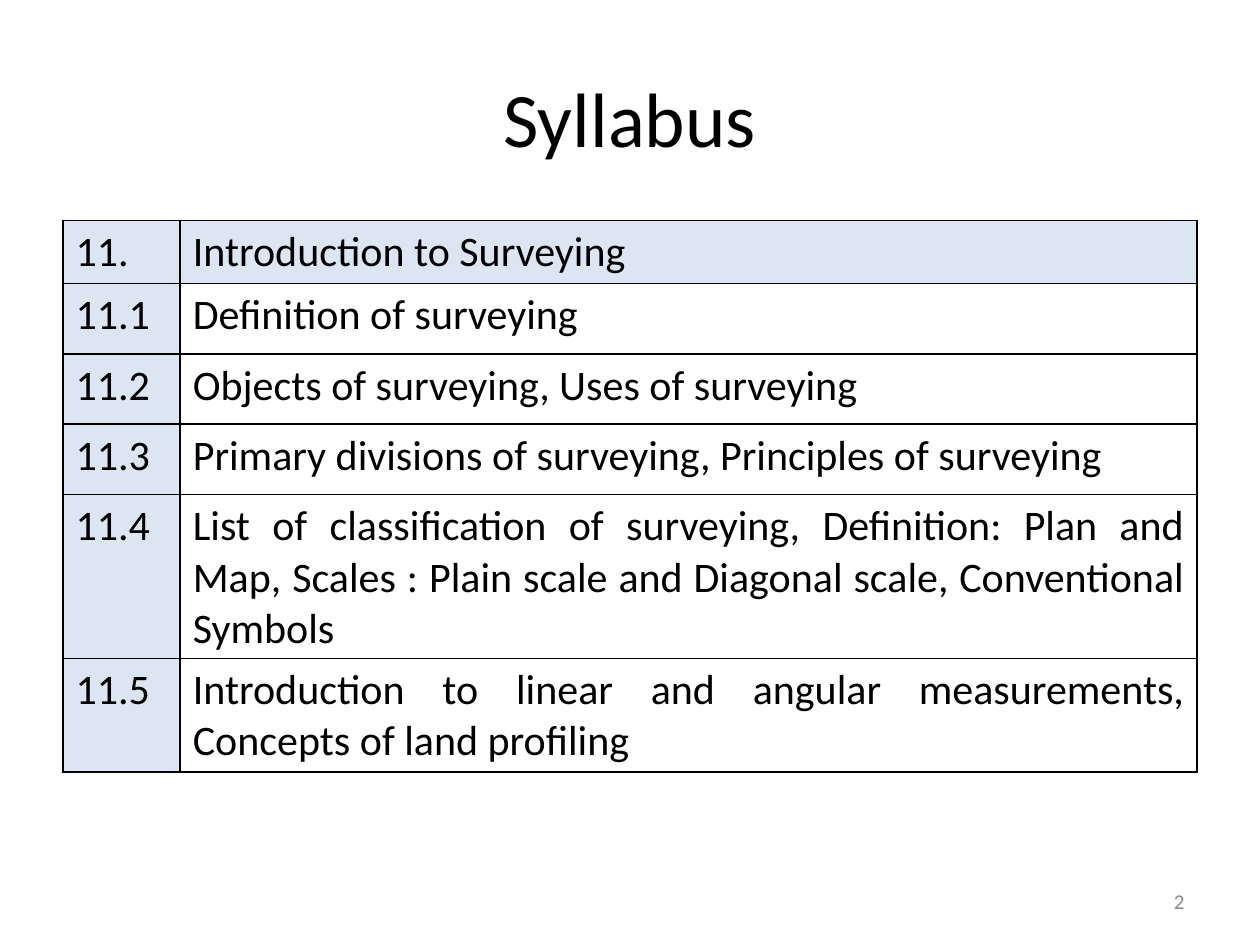
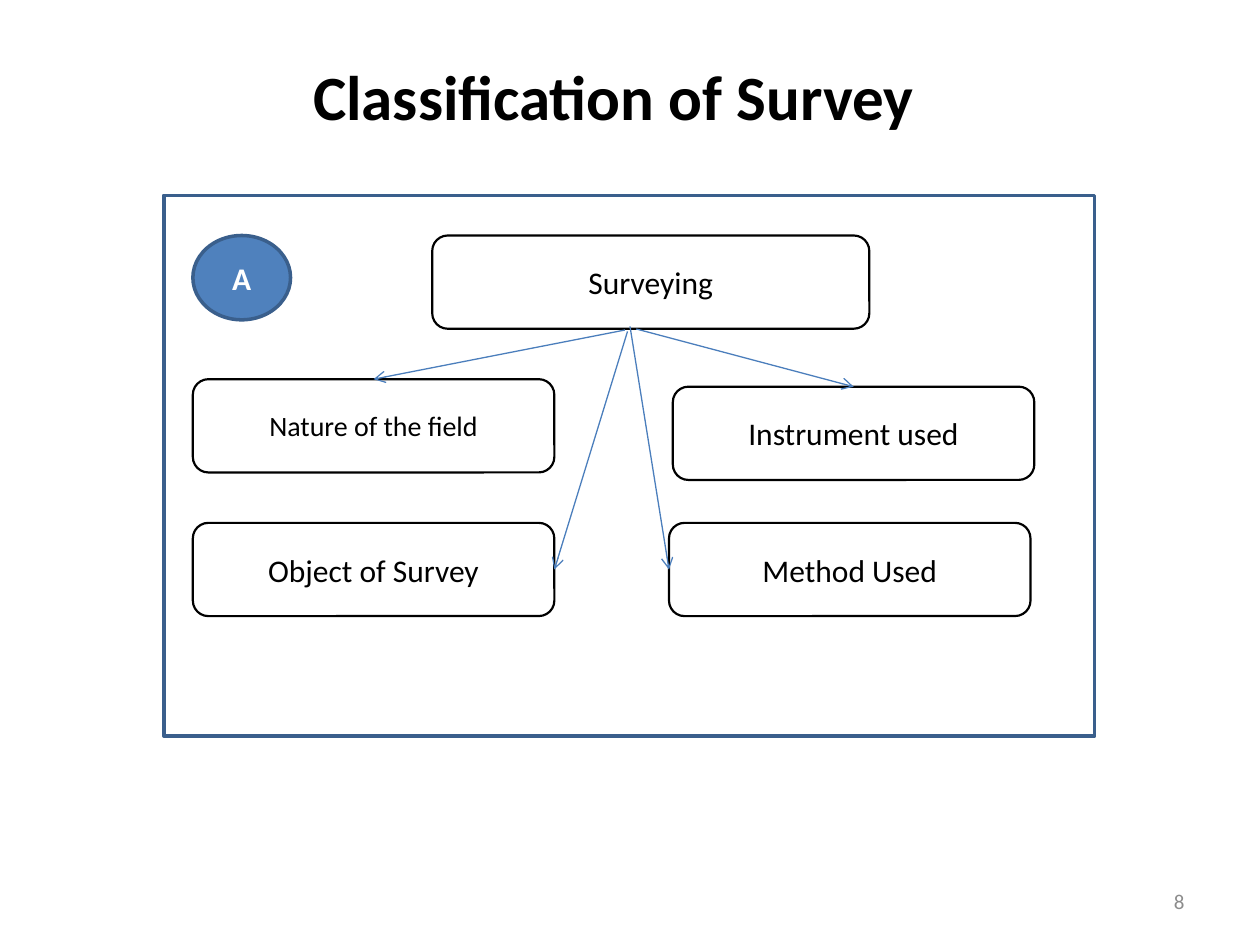
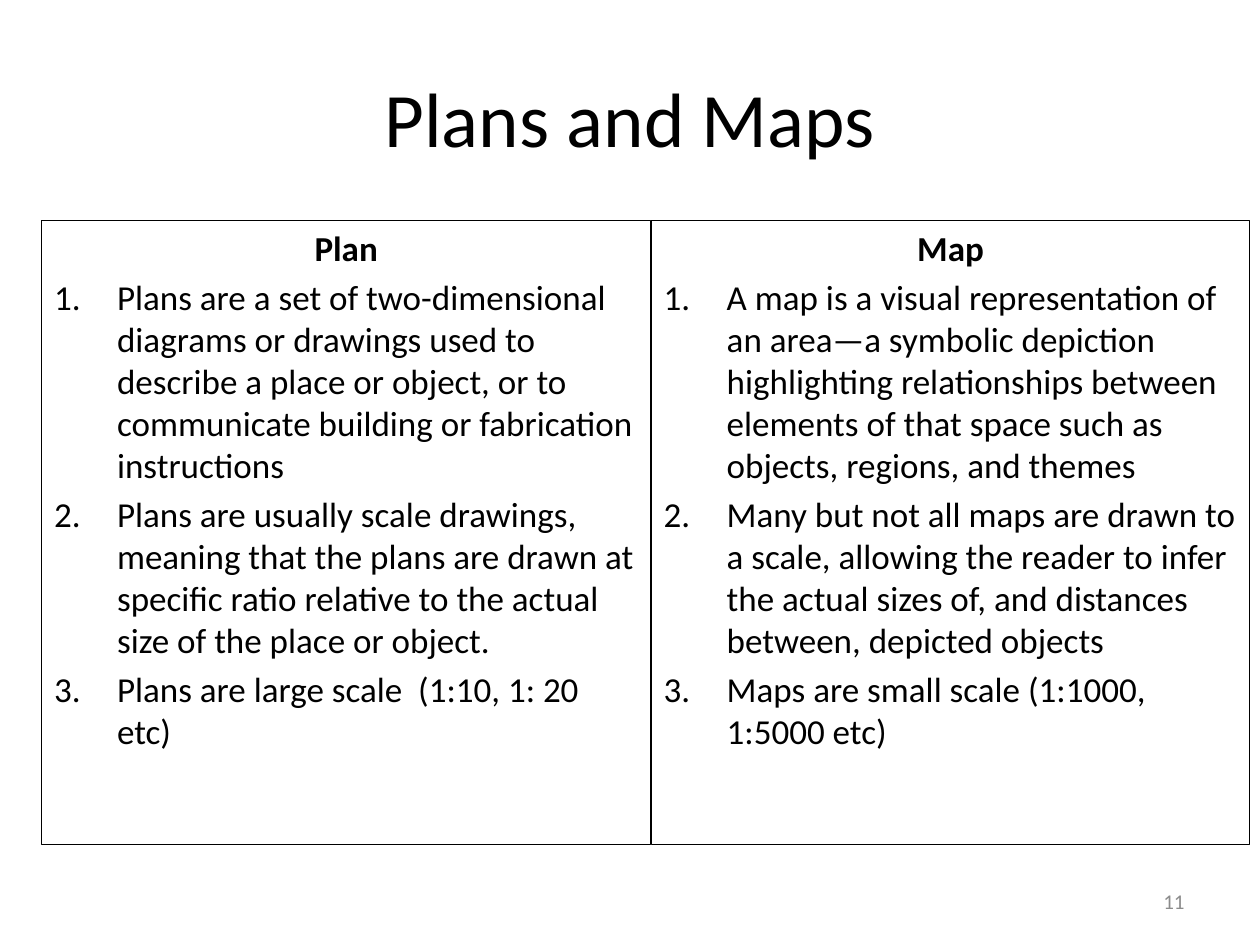
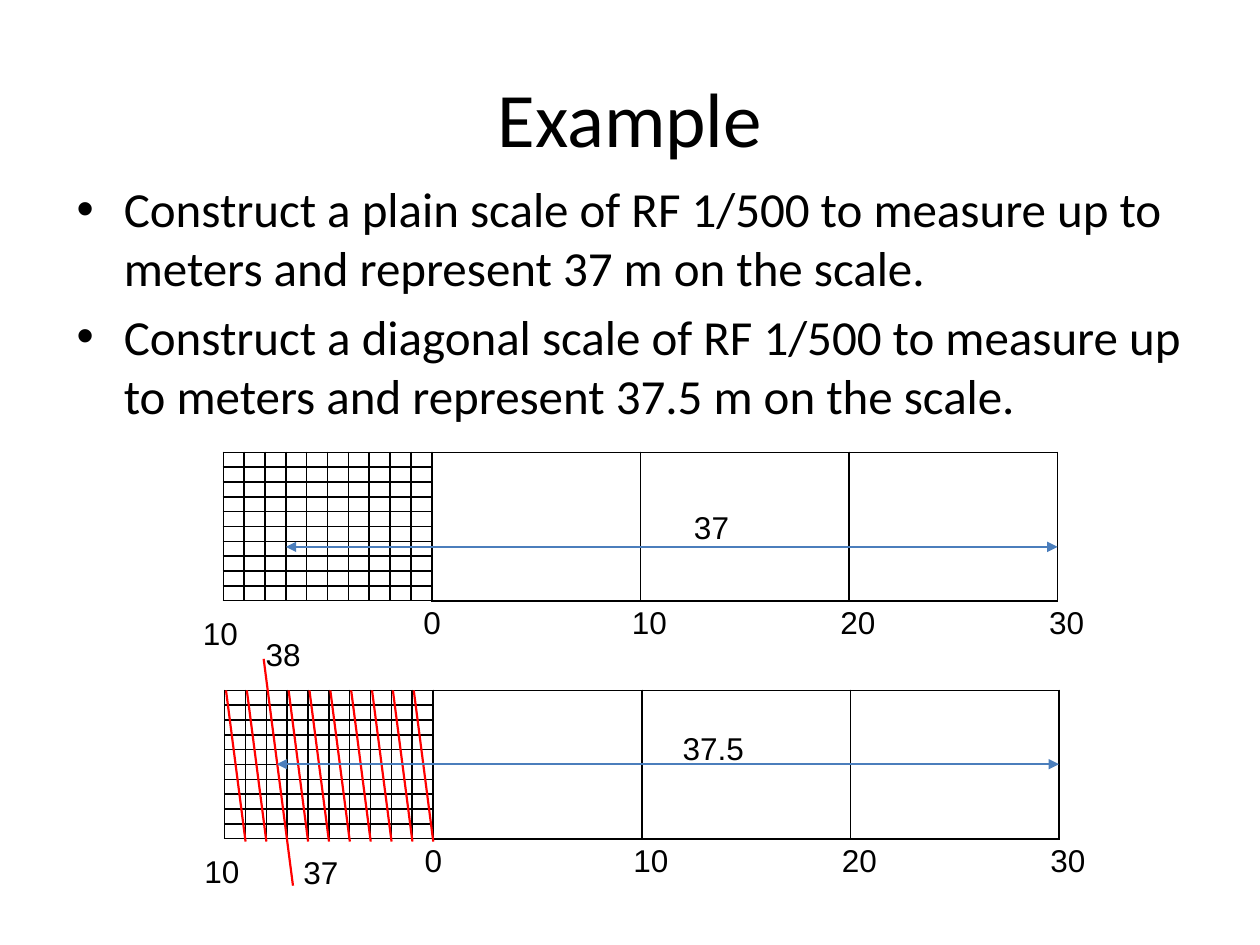
"""Build four surveying lecture slides."""
from dataclasses import dataclass

from lxml import etree
from pptx import Presentation
from pptx import util as u
from pptx.dml.color import RGBColor
from pptx.enum import shapes, text
from pptx.oxml import ns

Pt = u.Pt
ALIGN = text.PP_ALIGN
ANCHOR = text.MSO_ANCHOR
SHAPE = shapes.MSO_SHAPE


@dataclass(frozen=True)
class Theme:
    font: str = "Calibri"
    label_font: str = "Arial"
    ink: str = "000000"
    white: str = "FFFFFF"
    grey: str = "8C8C8C"
    tint: str = "DCE6F2"
    accent: str = "4F81BD"
    accent_dark: str = "3A5F8C"
    arrow: str = "4B7EBC"
    diagonal: str = "FF0000"
    title: float = 44
    heading: float = 36
    body: float = 28
    table: float = 24
    column: float = 20
    node: float = 18
    node_small: float = 16
    number: float = 12


T = Theme()
SYLLABUS = [
    ("11.", "Introduction to Surveying"),
    ("11.1", "Definition of surveying"),
    ("11.2", "Objects of surveying, Uses of surveying"),
    ("11.3", "Primary divisions of surveying, Principles of surveying"),
    ("11.4", "List of classification of surveying, Definition: Plan and Map, "
             "Scales : Plain scale and Diagonal scale, Conventional Symbols"),
    ("11.5", "Introduction to linear and angular measurements, Concepts of land profiling"),
]
PLAN = [
    "Plans are a set of two-dimensional diagrams or drawings used to describe a place or "
    "object, or to communicate building or fabrication instructions",
    "Plans are usually scale drawings, meaning that the plans are drawn at specific ratio "
    "relative to the actual size of the place or object.",
    "Plans are large scale  (1:10, 1: 20 etc)",
]
MAP = [
    "A map is a visual representation of an area—a symbolic depiction highlighting "
    "relationships between elements of that space such as objects, regions, and themes",
    "Many but not all maps are drawn to a scale, allowing the reader to infer the actual "
    "sizes of, and distances between, depicted objects",
    "Maps are small scale (1:1000, 1:5000 etc)",
]
TASKS = [
    "Construct a plain scale of RF 1/500 to measure up to meters and represent 37 m on the scale.",
    "Construct a diagonal scale of RF 1/500 to measure up to meters and represent 37.5 m "
    "on the scale.",
]
BLOCK = 119.2
DIVISION = BLOCK / 10
SCALE_HEIGHT = 85


def pts(*values):
    return [Pt(v) for v in values]


def rgb(color):
    return RGBColor.from_string(color)


def sub(parent, tag, **attrs):
    return etree.SubElement(parent, ns.qn(tag), attrs)


def write(p, content, size, color=T.ink, bold=False, font=T.font, align=ALIGN.LEFT):
    p.alignment = align
    r = p.add_run()
    r.text = content
    r.font.size, r.font.bold, r.font.name = Pt(size), bold, font
    r.font.color.rgb = rgb(color)


def add_items(tf, items, size, indent, bullet, **attrs):
    for i, item in enumerate(items):
        p = tf.paragraphs[0] if i == 0 and not tf.text else tf.add_paragraph()
        p.space_before = Pt(size / 5)
        write(p, item, size)
        pPr = p._p.get_or_add_pPr()
        pPr.set("marL", str(Pt(indent)))
        pPr.set("indent", str(-Pt(indent)))
        sub(pPr, "a:buFont", typeface=T.label_font if bullet == "a:buChar" else "+mj-lt")
        sub(pPr, bullet, **attrs)


def add_text(s, box, content, size, align=ALIGN.CENTER, **style):
    tf = s.shapes.add_textbox(*pts(*box)).text_frame
    tf.word_wrap = True
    tf.vertical_anchor = ANCHOR.MIDDLE
    write(tf.paragraphs[0], content, size, align=align, **style)


def add_label(s, x, y, content):
    width = 14.4 + sum(5 if c == "." else 10 for c in content)
    tf = s.shapes.add_textbox(*pts(x, y, width, 29)).text_frame
    tf.word_wrap = False
    tf.auto_size = text.MSO_AUTO_SIZE.SHAPE_TO_FIT_TEXT
    write(tf.paragraphs[0], content, T.node, font=T.label_font)


def add_title(s, content):
    add_text(s, (36, 21.6, 648, 90), content, T.title)


def add_number(s, number):
    add_text(s, (516, 500.4, 168, 28.8), number, T.number, ALIGN.RIGHT, color=T.grey)


def add_outline(s, kind, box, line, width, fill=None):
    sp = s.shapes.add_shape(kind, *pts(*box))
    sp.shadow.inherit = False
    if fill:
        sp.fill.solid()
        sp.fill.fore_color.rgb = rgb(fill)
    else:
        sp.fill.background()
    sp.line.color.rgb, sp.line.width = rgb(line), Pt(width)
    sp.text_frame.word_wrap = True
    return sp


def add_node(s, box, content, size=T.node):
    sp = add_outline(s, SHAPE.ROUNDED_RECTANGLE, box, T.ink, 1.25)
    sp.text_frame.vertical_anchor = ANCHOR.MIDDLE
    write(sp.text_frame.paragraphs[0], content, size, align=ALIGN.CENTER)
    return sp


def add_line(s, start, end, color, width, head=None, tail=None):
    cx = s.shapes.add_connector(shapes.MSO_CONNECTOR.STRAIGHT, *pts(*start, *end))
    cx.line.color.rgb, cx.line.width = rgb(color), Pt(width)
    ln = cx.line._get_or_add_ln()
    if head:
        sub(ln, "a:headEnd", type=head)
    if tail:
        sub(ln, "a:tailEnd", type=tail)
    sub(cx._element.spPr, "a:effectLst")
    return cx


def style_cell(cell, fill=None):
    tcPr = cell._tc.get_or_add_tcPr()
    for side in "LRTB":
        ln = sub(tcPr, f"a:ln{side}", w=str(Pt(1)))
        sub(sub(ln, "a:solidFill"), "a:srgbClr", val=T.ink)
    if fill:
        cell.fill.solid()
        cell.fill.fore_color.rgb = rgb(fill)
    else:
        cell.fill.background()


def add_table(s, x, y, widths, heights):
    frame = s.shapes.add_table(len(heights), len(widths),
                               *pts(x, y, sum(widths), sum(heights)))
    tbl = frame.table
    tbl.first_row = tbl.horz_banding = False
    for col, width in zip(tbl.columns, widths):
        col.width = Pt(width)
    for row, height in zip(tbl.rows, heights):
        row.height = Pt(height)
    return tbl


def add_grid(s, x, y, count):
    tbl = add_table(s, x, y, [BLOCK / count] * count, [SCALE_HEIGHT / count] * count)
    for cell in tbl.iter_cells():
        cell.margin_left = cell.margin_right = cell.margin_top = cell.margin_bottom = 0
        sub(cell.text_frame.paragraphs[0]._p, "a:endParaRPr", sz="100")
        style_cell(cell)


def add_scale(s, x, y):
    add_grid(s, x, y, 10)
    for i in range(1, 4):
        add_grid(s, x + i * BLOCK, y, 1)
    for i, mark in enumerate(("0", "10", "20", "30"), 1):
        add_label(s, x + i * BLOCK - 12, y + 82.8, mark)
    add_label(s, x - 18.7, y + 88.6, "10")


def add_measure(s, x, y, value, label_x, label_y):
    end = x + 4 * BLOCK
    add_line(s, (end, y), (end - value * DIVISION, y), T.arrow, 1.5, "triangle", "triangle")
    add_label(s, label_x, label_y, f"{value}")


def add_diagonals(s, x, y, extended):
    height = 86.4
    slope = 11.16 / height
    for k in range(10):
        above, below = (18, 25.2) if k == extended else (0, 0)
        foot = x + BLOCK - k * DIVISION
        add_line(s, (foot + slope * below, y + height + below),
                 (foot - slope * (height + above), y - above), T.diagonal, 1.25)


def add_column(s, box, heading, items):
    sp = add_outline(s, SHAPE.RECTANGLE, box, T.ink, 0.75)
    tf = sp.text_frame
    tf.vertical_anchor = ANCHOR.TOP
    p = tf.paragraphs[0]
    p.space_before = Pt(T.column / 5)
    write(p, heading, T.column, bold=True, align=ALIGN.CENTER)
    add_items(tf, items, T.column, 36, "a:buAutoNum", type="arabicPeriod")


def syllabus_slide(s):
    add_title(s, "Syllabus")
    add_number(s, "2")
    tbl = add_table(s, 36, 126, [67, 581], [35.5, 40.2, 40.2, 40.2, 60.2, 35.5])
    for i, row in enumerate(SYLLABUS):
        for j, content in enumerate(row):
            cell = tbl.cell(i, j)
            align = ALIGN.JUSTIFY if j and i > 3 else ALIGN.LEFT
            write(cell.text_frame.paragraphs[0], content, T.table, align=align)
            style_cell(cell, T.tint if i == 0 or j == 0 else None)


def classification_slide(s):
    add_number(s, "8")
    add_text(s, (138.2, 37.4, 424.8, 34.6), "Classification of Survey", T.heading, bold=True)
    size = (206.6, 53.3)
    add_node(s, (247, 134.6, 249.8, 53.3), "Surveying")
    instrument = add_node(s, (384.5, 221, *size), "Instrument used")
    nature = add_node(s, (110.2, 216.7, *size), "Nature of the field", T.node_small)
    method = add_node(s, (382.3, 298.8, *size), "Method Used")
    purpose = add_node(s, (110.2, 298.8, *size), "Object of Survey")
    for start, node, site in (((363.6, 188), instrument, 0), ((357.1, 188.6), nature, 0),
                              ((360, 186.5), method, 1), ((358.6, 189.4), purpose, 3)):
        cx = add_line(s, start, start, T.arrow, 0.75, tail="arrow")
        cx.end_connect(node, site)
    add_outline(s, SHAPE.RECTANGLE, (93.6, 111.6, 532, 308.9), T.accent_dark, 2)
    badge = add_outline(s, SHAPE.OVAL, (110.2, 134.6, 55.8, 48.2), T.accent_dark, 2, T.accent)
    badge.text_frame.vertical_anchor = ANCHOR.MIDDLE
    write(badge.text_frame.paragraphs[0], "A", T.node, T.white, True, align=ALIGN.CENTER)


def comparison_slide(s):
    add_title(s, "Plans and Maps")
    add_number(s, "11")
    add_column(s, (23.8, 126, 348, 356.4), "Plan", PLAN)
    add_column(s, (372.2, 126, 342, 356.4), "Map", MAP)


def example_slide(s):
    add_title(s, "Example")
    tf = s.shapes.add_textbox(*pts(36.7, 98.6, 648, 356.4)).text_frame
    tf.word_wrap = True
    add_items(tf, TASKS, T.body, 27, "a:buChar", char="•")
    x, y = 127.6, 258.5
    add_scale(s, x, y)
    add_measure(s, x, y + 54, 37, 389.5, 286.6)
    x, y = 128.4, 394.5
    add_scale(s, x, y)
    add_diagonals(s, x, y, extended=7)
    add_label(s, 166.3, 483.8, "37")
    add_label(s, 144.7, 359.3, "38")
    add_measure(s, x, y + 42.2, 37.5, 383, 413.3)


def main():
    prs = Presentation()
    prs.slide_width, prs.slide_height = pts(720, 540)
    for build in (syllabus_slide, classification_slide, comparison_slide, example_slide):
        build(prs.slides.add_slide(prs.slide_layouts[6]))
    prs.save("out.pptx")


if __name__ == "__main__":
    main()
